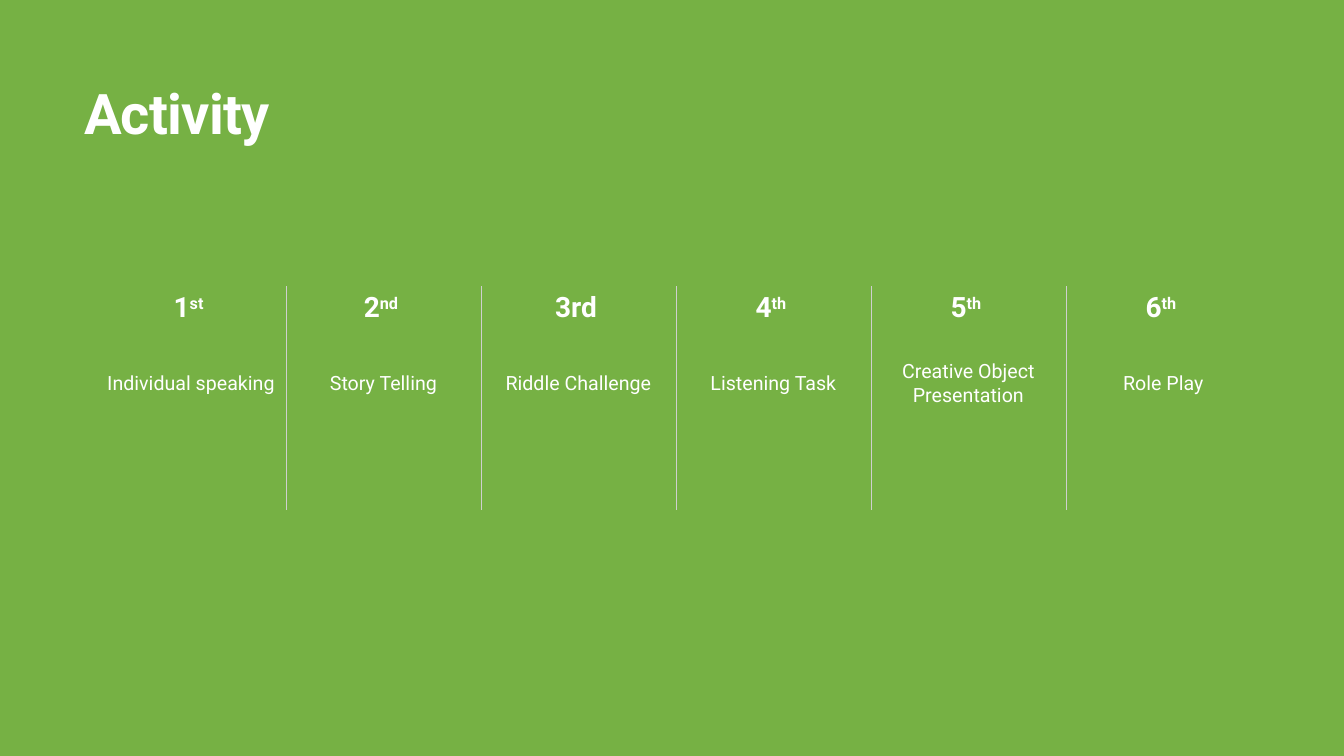
from lxml import etree
from pptx import Presentation
from pptx import util as u
from pptx.dml.color import RGBColor
from pptx.enum import text
from pptx.oxml.ns import qn

SCALE = 914400 / 100.8  # EMU per px
FONT = "Roboto"
GREEN, WHITE, RULE = "76B144", "FFFFFF", "CFCFCF"
NO_STYLE = "{2D5ABB26-0587-4C30-8999-92F81FD0307C}"

# Ordinal number, raised suffix, activity
ACTIVITIES = [
    ("1", "st", "Individual speaking"),
    ("2", "nd", "Story Telling"),
    ("3rd", "", "Riddle Challenge"),
    ("4", "th", "Listening Task"),
    ("5", "th", "Creative Object Presentation"),
    ("6", "th", "Role Play"),
]
COL_WIDTHS = [190] + [195] * 5
ROW_HEIGHTS = [43, 108, 72]


def px(n):
    return u.Emu(round(n * SCALE))


def color(hex_string):
    return RGBColor.from_string(hex_string)


def add_run(p, words, size, bold=False, **attrs):
    r = p.add_run()
    r.text = words
    r.font.name = FONT
    r.font.size = u.Pt(size)
    r.font.bold = bold
    r.font.color.rgb = color(WHITE)
    for name, value in attrs.items():
        r.font._element.set(name, str(value))


def add_title(s, words):
    sp = s.shapes.title
    sp.left, sp.top, sp.width, sp.height = px(84), px(79), px(1176), px(67)
    tf = sp.text_frame
    tf.margin_left = tf.margin_top = tf.margin_right = tf.margin_bottom = 0
    tf.word_wrap = True
    tf.auto_size = text.MSO_AUTO_SIZE.SHAPE_TO_FIT_TEXT
    tf.vertical_anchor = text.MSO_ANCHOR.BOTTOM
    p = tf.paragraphs[0]
    p.alignment = text.PP_ALIGN.LEFT
    add_run(p, words, 40, bold=True, spc=-50)


def add_border(cell, side):
    tc_pr = cell._tc.get_or_add_tcPr()
    ln = etree.SubElement(tc_pr, qn(f"a:ln{side}"), w=str(u.Pt(0.5)))
    fill = etree.SubElement(ln, qn("a:solidFill"))
    etree.SubElement(fill, qn("a:srgbClr"), val=RULE)


def cell_paragraph(cell):
    p = cell.text_frame.paragraphs[0]
    p.alignment = text.PP_ALIGN.CENTER
    p.space_before = u.Pt(0)
    p.line_spacing = 1.0
    return p


def add_activity_table(s):
    frame = s.shapes.add_table(len(ROW_HEIGHTS), len(ACTIVITIES), px(96), px(286),
                               px(sum(COL_WIDTHS)), px(sum(ROW_HEIGHTS)))
    table = frame.table
    table.first_row = table.horz_banding = False
    frame._element.find(".//" + qn("a:tableStyleId")).text = NO_STYLE
    for col, width in zip(table.columns, COL_WIDTHS):
        col.width = px(width)
    for row, height in zip(table.rows, ROW_HEIGHTS):
        row.height = px(height)

    # Rules between columns only
    last = len(ACTIVITIES) - 1
    for row in table.rows:
        for i, cell in enumerate(row.cells):
            if i > 0:
                add_border(cell, "L")
            if i < last:
                add_border(cell, "R")
            cell.fill.background()
            cell.vertical_anchor = text.MSO_ANCHOR.MIDDLE

    # Ordinals above activities
    for i, (number, suffix, activity) in enumerate(ACTIVITIES):
        p = cell_paragraph(table.cell(0, i))
        add_run(p, number, 20, bold=True)
        if suffix:
            add_run(p, suffix, 20, bold=True, baseline=30000)
        add_run(p, " ", 14, bold=True)
        add_run(cell_paragraph(table.cell(1, i)), activity, 14)


def main():
    prs = Presentation()
    prs.slide_width, prs.slide_height = px(1344), px(756)
    s = prs.slides.add_slide(prs.slide_layouts[5])
    s.background.fill.solid()
    s.background.fill.fore_color.rgb = color(GREEN)
    add_title(s, "Activity")
    add_activity_table(s)
    prs.save("out.pptx")


if __name__ == "__main__":
    main()
